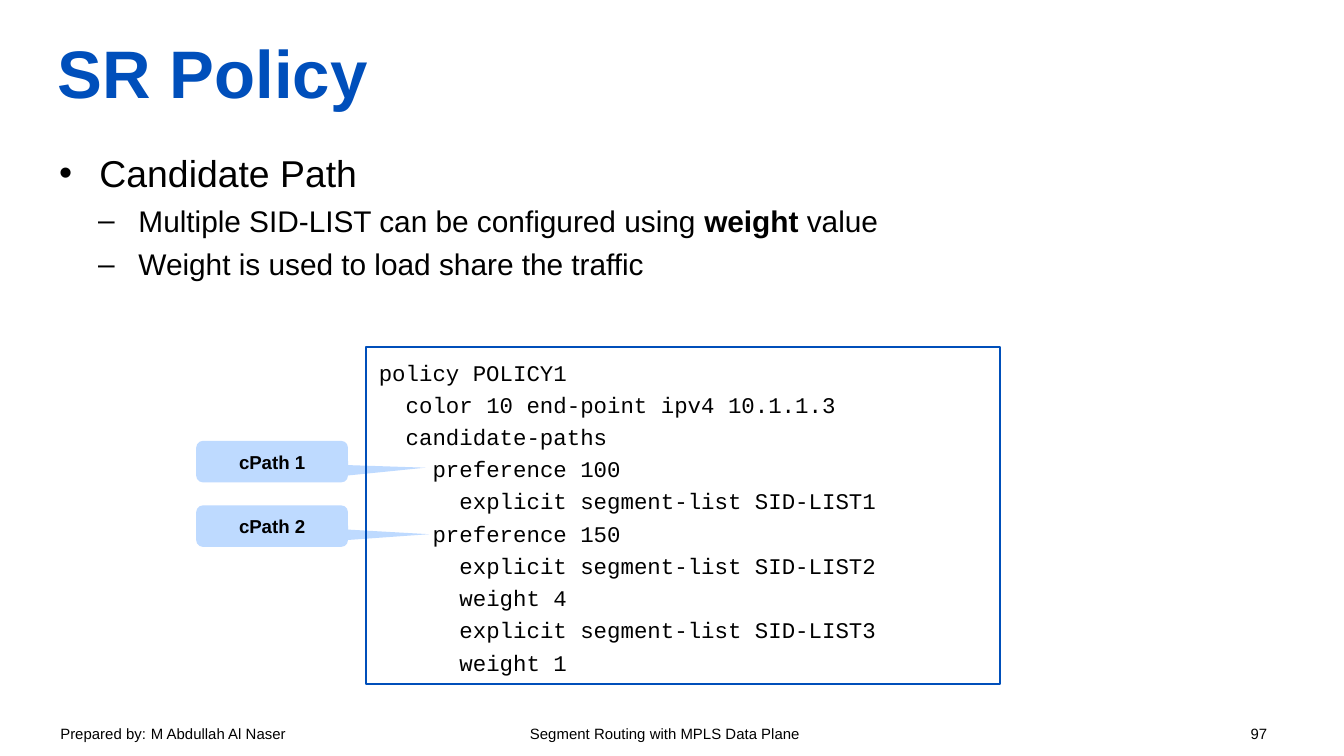
from lxml import etree
from pptx import Presentation
from pptx import util as u
from pptx.dml import color as dml
from pptx.enum import shapes, text
from pptx.oxml import ns

BLUE, PALE, BLACK = "004FBB", "BEDAFF", "000000"


def rgb(value):
    return dml.RGBColor.from_string(value)


def add_text(para, words, size=12, color=BLACK, font="Arial", bold=False):
    span = para.add_run()
    span.text = words
    span.font.size = u.Pt(size)
    span.font.name = font
    span.font.bold = bold
    span.font.color.rgb = rgb(color)


def set_indent(para, left, first=0):
    props = para._p.get_or_add_pPr()
    props.set("marL", str(u.Inches(left)))
    props.set("indent", str(u.Inches(first)))
    return props


class SlideBuilder:
    def __init__(self, deck):
        self.page = deck.slides.add_slide(deck.slide_layouts[1])

    def place(self, box, left, top, width, height, anchor, inset=None):
        box.left, box.top = u.Inches(left), u.Inches(top)
        box.width, box.height = u.Inches(width), u.Inches(height)
        frame = box.text_frame
        frame.word_wrap = True
        frame.auto_size = text.MSO_AUTO_SIZE.NONE
        frame.vertical_anchor = anchor
        if inset is not None:
            frame.margin_left = frame.margin_right = u.Inches(inset)
            frame.margin_top = frame.margin_bottom = u.Inches(inset)
        return frame

    def paragraphs(self, frame, items):
        for number, item in enumerate(items):
            yield (frame.add_paragraph() if number else frame.paragraphs[0]), item

    def title(self, words):
        frame = self.place(self.page.shapes.title, 0.43, 0.06, 9.13, 0.94,
                           text.MSO_ANCHOR.MIDDLE, 0)
        para = frame.paragraphs[0]
        para.alignment = text.PP_ALIGN.LEFT
        add_text(para, words, 36, BLUE, bold=True)

    def bullets(self, items):
        frame = self.place(self.page.placeholders[1], 0.44, 1.12, 9.13, 4.13,
                           text.MSO_ANCHOR.TOP, 0)
        for para, (level, spans) in self.paragraphs(frame, items):
            para.level = level
            para.space_before = u.Pt((12, 4)[level])
            props = set_indent(para, (0.3, 0.59)[level], -0.3)
            etree.SubElement(props, ns.qn("a:buChar"), char="•–"[level])
            for words, bold in spans:
                add_text(para, words, (20, 16)[level], bold=bold)

    def shape(self, kind, left, top, width, height, anchor):
        box = self.page.shapes.add_shape(kind, 0, 0, 0, 0)
        box.shadow.inherit = False
        return box, self.place(box, left, top, width, height, anchor)

    def callout(self, words, top, pointer):
        box, frame = self.shape(shapes.MSO_SHAPE.ROUNDED_RECTANGULAR_CALLOUT,
                                1.46, top, 1.13, 0.31, text.MSO_ANCHOR.MIDDLE)
        for index, value in enumerate((*pointer, 0.167)):
            box.adjustments[index] = value
        box.fill.solid()
        box.fill.fore_color.rgb = rgb(PALE)
        box.line.fill.background()
        para = frame.paragraphs[0]
        para.alignment = text.PP_ALIGN.CENTER
        add_text(para, words, 10, bold=True)

    def code(self, lines):
        box, frame = self.shape(shapes.MSO_SHAPE.RECTANGLE,
                                2.72, 2.58, 4.72, 2.51, text.MSO_ANCHOR.TOP)
        box.fill.background()
        box.line.color.rgb = rgb("004FBA")
        box.line.width = u.Pt(1)
        for para, (depth, words) in self.paragraphs(frame, lines):
            para.alignment = text.PP_ALIGN.LEFT
            para.line_spacing = 1.2
            set_indent(para, 0.2 * depth)
            add_text(para, words, font="Courier New")

    def footer(self, label, rest):
        box = self.page.shapes.add_textbox(0, 0, 0, 0)
        frame = self.place(box, 0.35, 5.33, 9.32, 0.25, text.MSO_ANCHOR.TOP)
        para = frame.paragraphs[0]
        tabs = etree.SubElement(para._p.get_or_add_pPr(), ns.qn("a:tabLst"))
        for position, side in ((4.5, "ctr"), (8.98, "r")):
            etree.SubElement(tabs, ns.qn("a:tab"),
                             pos=str(u.Inches(position)), algn=side)
        add_text(para, label, 8)
        add_text(para, " ", 9)
        add_text(para, "\t".join(rest), 8)


def main():
    deck = Presentation()
    # Widescreen page, 16 to 9
    deck.slide_width = u.Inches(10)
    deck.slide_height = deck.slide_width * 9 // 16
    slide = SlideBuilder(deck)

    # Footer, title and list
    slide.footer("Prepared by:", ["M Abdullah Al Naser",
                                  "Segment Routing with MPLS Data Plane", "97"])
    slide.title("SR Policy")
    slide.bullets([
        (0, [("Candidate Path", False)]),
        (1, [("Multiple SID-LIST can be configured using ", False),
             ("weight ", True), ("value", False)]),
        (1, [("Weight is used to load share the traffic", False)]),
    ])

    # Callouts pointing at the two preferences
    slide.callout("cPath 2", 3.76, (1.034, 0.194))
    slide.callout("cPath 1", 3.28, (1.011, 0.146))

    # Policy configuration, with the depth of each line
    slide.code([
        (0, "policy POLICY1"),
        (1, "color 10 end-point ipv4 10.1.1.3"),
        (1, "candidate-paths"),
        (2, "preference 100"),
        (3, "explicit segment-list SID-LIST1"),
        (2, "preference 150"),
        (3, "explicit segment-list SID-LIST2"),
        (3, "weight 4"),
        (3, "explicit segment-list SID-LIST3"),
        (3, "weight 1"),
    ])

    deck.save("out.pptx")


if __name__ == "__main__":
    main()
